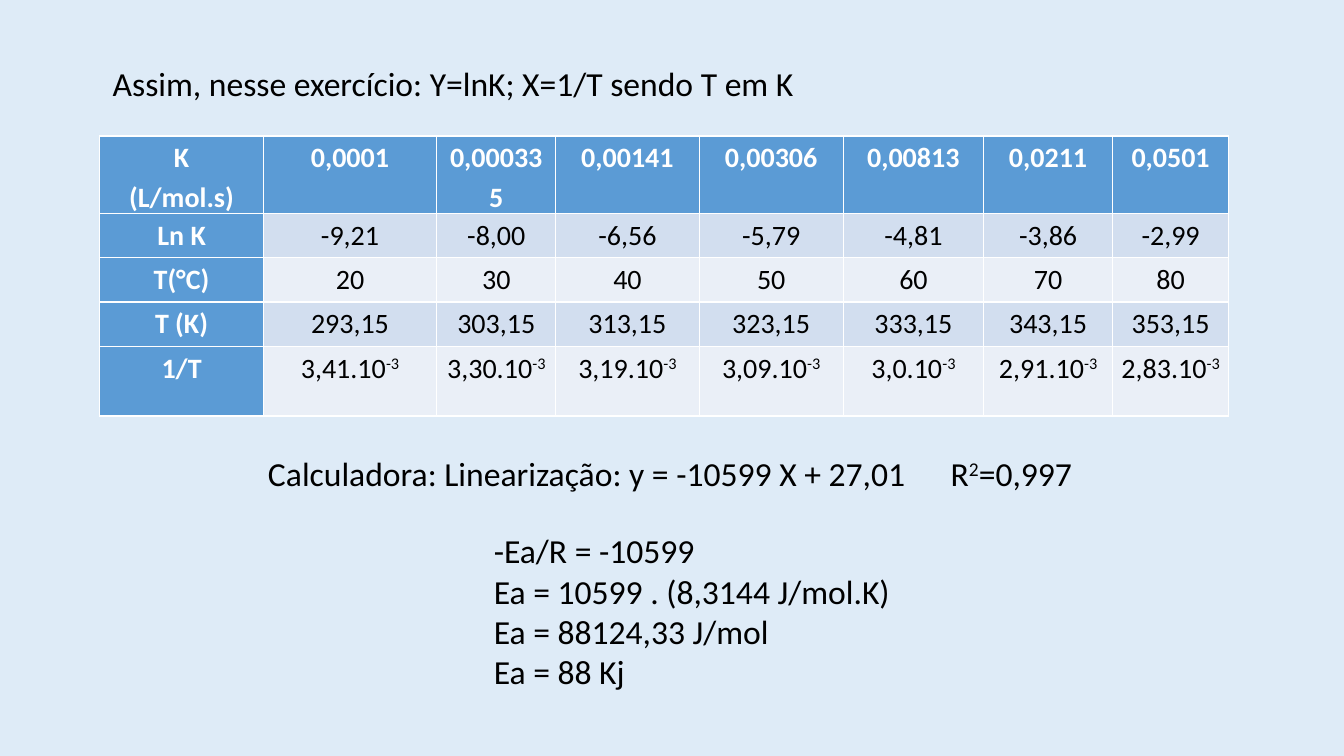
from lxml.etree import SubElement
from pptx import Presentation
from pptx.dml.color import RGBColor
from pptx.enum.text import MSO_ANCHOR, PP_ALIGN
from pptx.oxml.ns import qn
from pptx.util import Inches, Pt

WIDTH, HEIGHT = Inches(13.33), Inches(7.5)
FONT = "Calibri"
BACKGROUND, BLACK, WHITE = "DEEBF7", "000000", "FFFFFF"
HEADER, BANDS = "5B9BD5", ("EAEFF7", "D2DEEF")
BODY = {"name": FONT, "size": Pt(24), "bold": False}
CELL = {"name": FONT, "size": Pt(20), "bold": False}
HEADING = {**CELL, "bold": True}
CELL_FRAME = {
    "margin_left": Inches(0.07), "margin_right": Inches(0.07),
    "margin_top": 0, "margin_bottom": 0, "vertical_anchor": MSO_ANCHOR.TOP,
}
COLUMN_SHARES = (1.62, 1.72, 1.18, 1.42, 1.43, 1.39, 1.28, 1.15)
ROW_SHARES = (0.69, 0.44, 0.44, 0.44, 0.69)
INVERSES = ("3,41", "3,30", "3,19", "3,09", "3,0", "2,91", "2,83")
KINETICS = (
    ("K\n(L/mol.s)", "0,0001", "0,000335", "0,00141", "0,00306", "0,00813", "0,0211", "0,0501"),
    ("Ln K", "-9,21", "-8,00", "-6,56", "-5,79", "-4,81", "-3,86", "-2,99"),
    ("T(°C)", *(str(celsius) for celsius in range(20, 90, 10))),
    ("T (K)", *(f"{celsius + 273},15" for celsius in range(20, 90, 10))),
    ("1/T", *(f"{inverse}.10|-3" for inverse in INVERSES)),
)
ENERGY = """-Ea/R = -10599
Ea = 10599 . (8,3144 J/mol.K)
Ea = 88124,33 J/mol
Ea = 88 Kj"""


def color(value):
    """Turn a hex string into a colour."""
    return RGBColor.from_string(value)


def area(left, top, width, height):
    """Turn percentages of the slide into a box."""
    shares = zip((left, top, width, height), (WIDTH, HEIGHT, WIDTH, HEIGHT))
    return [int(share * length / 100) for share, length in shares]


def apply(target, values):
    """Set every attribute named in a dict of format values."""
    for name, value in values.items():
        setattr(target, name, value)


def write(frame, text, font, ink, layout):
    """Write one paragraph per line, raising the parts between bars."""
    for number, line in enumerate(text.split("\n")):
        para = frame.add_paragraph() if number else frame.paragraphs[0]
        apply(para, layout)
        for order, part in enumerate(line.split("|")):
            span = para.add_run()
            span.text = part
            apply(span.font, font)
            span.font.color.rgb = color(ink)
            if order % 2:
                span._r.get_or_add_rPr().set("baseline", "30000")


def add_text(page, box, text):
    """Add a wrapping text box and return its text frame."""
    frame = page.shapes.add_textbox(*box).text_frame
    frame.word_wrap = True
    write(frame, text, BODY, BLACK, {"alignment": PP_ALIGN.LEFT})
    return frame


def add_regression(page, box):
    """Add the fitted line, with its R² at a tab stop."""
    frame = add_text(page, box, "Calculadora: Linearização: y = -10599 X + 27,01\tR|2|=0,997")
    stops = SubElement(frame.paragraphs[0]._p.get_or_add_pPr(), qn("a:tabLst"))
    SubElement(stops, qn("a:tab"), pos=str(int(box[2] * 0.805)), algn="l")


def add_kinetics(page, box):
    """Add the table of rate constants and temperatures."""
    table = page.shapes.add_table(len(ROW_SHARES), len(COLUMN_SHARES), *box).table
    table.first_col = True
    for column, share in zip(table.columns, COLUMN_SHARES):
        column.width = int(box[2] * share / sum(COLUMN_SHARES))
    for row, share in zip(table.rows, ROW_SHARES):
        row.height = int(box[3] * share / sum(ROW_SHARES))
    layout = {"alignment": PP_ALIGN.CENTER, "line_spacing": 1.15}
    for down, values in enumerate(KINETICS):
        for across, value in enumerate(values):
            cell = table.cell(down, across)
            heading = down == 0 or across == 0
            apply(cell, CELL_FRAME)
            cell.fill.solid()
            cell.fill.fore_color.rgb = color(HEADER if heading else BANDS[down % 2])
            font, ink = (HEADING, WHITE) if heading else (CELL, BLACK)
            write(cell.text_frame, value, font, ink, layout)


def add_exercise(deck):
    """Add the slide that solves for the activation energy."""
    page = deck.slides.add_slide(deck.slide_layouts[6])
    page.background.fill.solid()
    page.background.fill.fore_color.rgb = color(BACKGROUND)
    add_text(page, area(7.65, 7.6, 85.9, 6.67), "Assim, nesse exercício: Y=lnK; X=1/T sendo T em K")
    add_kinetics(page, area(7.43, 18, 84, 36))
    add_regression(page, area(19.2, 59.2, 63.1, 6.67))
    add_text(page, area(36, 69.47, 38.7, 22.93), ENERGY)


def main():
    """Build and save the deck."""
    deck = Presentation()
    apply(deck, {"slide_width": WIDTH, "slide_height": HEIGHT})
    add_exercise(deck)
    deck.save("out.pptx")


if __name__ == "__main__":
    main()
